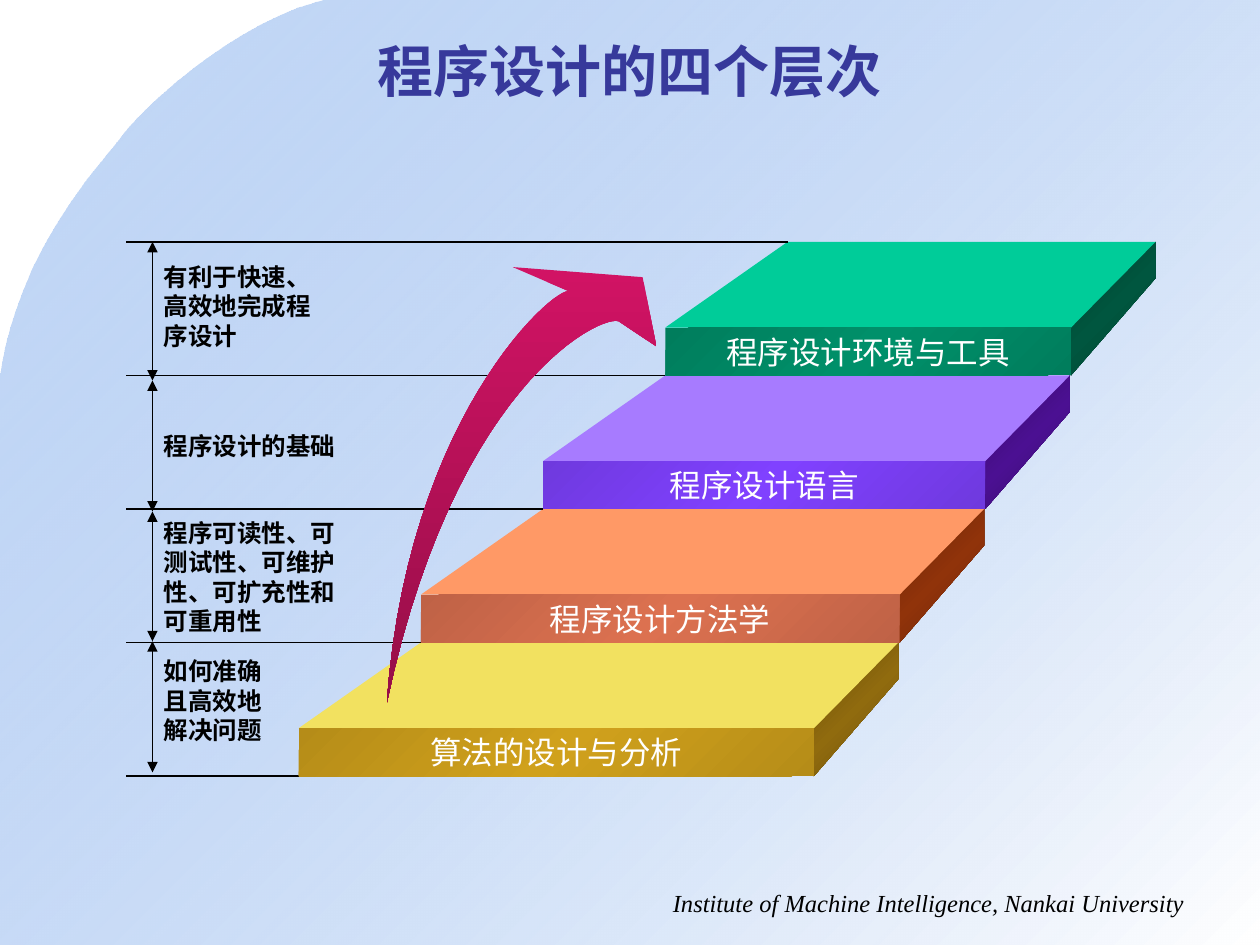
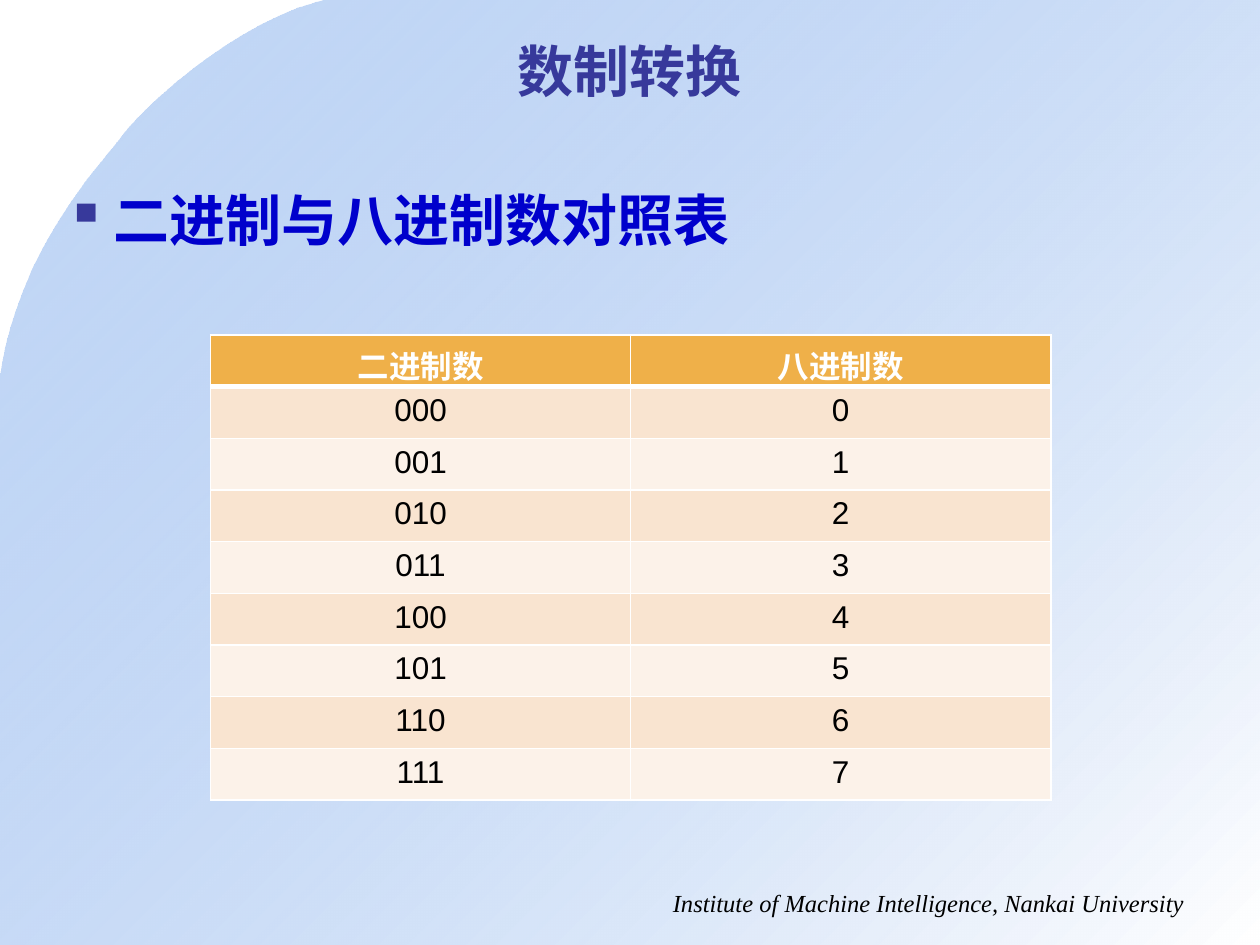
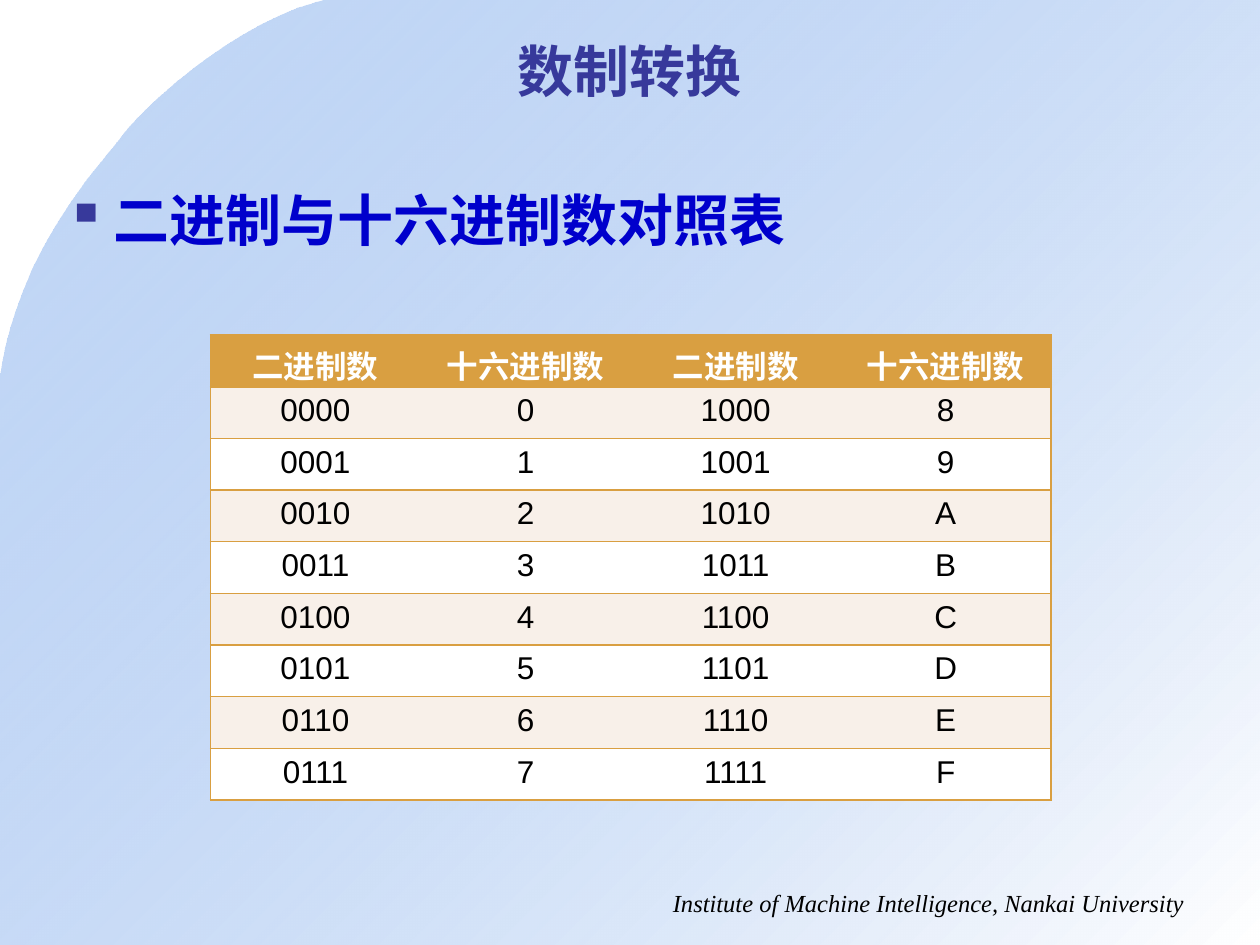
import itertools
from dataclasses import dataclass
from typing import Optional

import pptx
import pptx.dml.color
import pptx.enum.shapes
import pptx.enum.text
import pptx.oxml.ns
import pptx.util
from lxml import etree

Inches = pptx.util.Inches
Pt = pptx.util.Pt
RGBColor = pptx.dml.color.RGBColor
ALIGN = pptx.enum.text.PP_ALIGN
ANCHOR = pptx.enum.text.MSO_ANCHOR
qn = pptx.oxml.ns.qn

WHITE = RGBColor(0xFF, 0xFF, 0xFF)
BLACK = RGBColor(0, 0, 0)
SKY = RGBColor(0x69, 0x9D, 0xE9)
TITLE_BLUE = RGBColor(0x37, 0x39, 0x9B)
HEADING_BLUE = RGBColor(0, 0, 0xCC)
CRIMSON = RGBColor(0xD1, 0x13, 0x64)
DARK_CRIMSON = RGBColor(0x96, 0x0E, 0x48)
AMBER = RGBColor(0xEF, 0xB0, 0x49)
PEACH = RGBColor(0xF9, 0xE4, 0xD0)
PALE_PEACH = RGBColor(0xFC, 0xF2, 0xE9)
OCHRE = RGBColor(0xD9, 0x9F, 0x41)
CREAM = RGBColor(0xF8, 0xF0, 0xE9)

CHINESE_FONT = "Noto Sans CJK SC"
LATIN_FONT = "Arial"
NOTE_FONT = "DejaVu Sans"
FOOTER_FONT = "Times New Roman"
FOOTER = "Institute of Machine Intelligence, Nankai University"

Point = tuple[float, float]


@dataclass(frozen=True)
class Layer:
    label: str
    top: RGBColor
    front_edge: RGBColor
    front_middle: RGBColor
    side_edge: RGBColor
    side_middle: RGBColor


@dataclass(frozen=True)
class Note:
    text: str
    top: float
    width: float
    height: float
    wrap: bool = True


@dataclass(frozen=True)
class TableStyle:
    header: RGBColor
    odd_row: RGBColor
    even_row: RGBColor
    border: RGBColor
    header_rule: float
    inner_verticals: bool


LAYERS = (
    Layer("程序设计环境与工具", RGBColor(0x00, 0xCC, 0x99),
          RGBColor(0x00, 0x7D, 0x5C), RGBColor(0x00, 0x90, 0x6A),
          RGBColor(0x00, 0x3E, 0x2D), RGBColor(0x00, 0x56, 0x3F)),
    Layer("程序设计语言", RGBColor(0xA7, 0x7B, 0xFF),
          RGBColor(0x6F, 0x39, 0xDE), RGBColor(0x80, 0x41, 0xFF),
          RGBColor(0x36, 0x0B, 0x68), RGBColor(0x4B, 0x10, 0x92)),
    Layer("程序设计方法学", RGBColor(0xFF, 0x99, 0x66),
          RGBColor(0xBF, 0x62, 0x46), RGBColor(0xDC, 0x71, 0x50),
          RGBColor(0x67, 0x24, 0x07), RGBColor(0x90, 0x33, 0x0A)),
    Layer("算法的设计与分析", RGBColor(0xF2, 0xE1, 0x60),
          RGBColor(0xB5, 0x8C, 0x18), RGBColor(0xD0, 0xA1, 0x1C),
          RGBColor(0x67, 0x4D, 0x0A), RGBColor(0x90, 0x6B, 0x0E)),
)
NOTES = (
    Note("有利于快速、高效地完成程序设计", 2.03, 1.38, 0.81),
    Note("程序设计的基础", 3.37, 1.58, 0.34, wrap=False),
    Note("程序可读性、可测试性、可维护性、可扩充性和可重用性", 4.06, 1.61, 1.04),
    Note("如何准确且高效地解决问题", 5.16, 1.07, 0.81),
)
SPAN_ENDS = (1.92, 3.02, 4.06, 5.09, 6.13)

# Staircase measures: each layer is one step further left and down.
STAIR_TOP, STEP_DOWN = 1.92, 1.06
FRONT_LEFT, STEP_LEFT = 5.28, 0.97
FRONT_RIGHT, STEP_RIGHT = 8.5, 0.68
FACE_DEPTH, FACE_SHIFT, FRONT_HEIGHT, BACK_HEIGHT = 0.68, 0.67, 0.38, 0.29

GRID_STYLE = TableStyle(AMBER, PEACH, PALE_PEACH, WHITE, 3, True)
RULED_STYLE = TableStyle(OCHRE, CREAM, WHITE, OCHRE, 1, False)


def write_text(frame, text: str, *, size: float, color: RGBColor = BLACK,
               font: str = LATIN_FONT, bold: bool = False, italic: bool = False,
               align=ALIGN.LEFT, anchor=None, wrap: bool = True,
               bullet_color: Optional[RGBColor] = None) -> None:
    frame.word_wrap = wrap
    if anchor is not None:
        frame.vertical_anchor = anchor
    para = frame.paragraphs[0]
    para.alignment = align
    if bullet_color is not None:
        add_bullet(para, bullet_color)
    span = para.add_run()
    span.text = text
    span.font.name = font
    span.font.size = Pt(size)
    span.font.bold = bold
    span.font.italic = italic
    span.font.color.rgb = color
    etree.SubElement(span.font._element, qn("a:ea"), typeface=CHINESE_FONT)


def add_bullet(para, color: RGBColor) -> None:
    properties = para._p.get_or_add_pPr()
    properties.set("marL", str(Inches(0.38)))
    properties.set("indent", str(-Inches(0.38)))
    paint = etree.SubElement(properties, qn("a:buClr"))
    etree.SubElement(paint, qn("a:srgbClr"), val=str(color))
    etree.SubElement(properties, qn("a:buChar"), char="▪")


def add_text(page, text: str, left: float, top: float, width: float,
             height: float, **style) -> None:
    box = page.shapes.add_textbox(Inches(left), Inches(top), Inches(width), Inches(height))
    write_text(box.text_frame, text, **style)


def fill_gradient(shape, colors: tuple[RGBColor, ...], angle: int,
                  first_opacity: int = 100) -> None:
    """Spread the colours evenly; the angle is clockwise in degrees."""
    shape.fill.gradient()
    shape.fill.gradient_angle = 360 - angle
    stops = shape._element.spPr.find(qn("a:gradFill")).find(qn("a:gsLst"))
    for stop in list(stops):
        stops.remove(stop)
    for index, color in enumerate(colors):
        position = 100000 * index // (len(colors) - 1)
        stop = etree.SubElement(stops, qn("a:gs"), pos=str(position))
        paint = etree.SubElement(stop, qn("a:srgbClr"), val=str(color))
        if index == 0 and first_opacity < 100:
            etree.SubElement(paint, qn("a:alpha"), val=str(first_opacity * 1000))


def add_outline(page, points: list[Point]):
    corners = [(Inches(x), Inches(y)) for x, y in points]
    builder = page.shapes.build_freeform(*corners[0])
    builder.add_line_segments(corners[1:], close=True)
    shape = builder.convert_to_shape()
    shape.shadow.inherit = False
    shape.line.fill.background()
    return shape


def bezier(start: Point, first: Point, second: Point, end: Point,
           steps: int = 28) -> list[Point]:
    def at(t: float, axis: int) -> float:
        u = 1 - t
        return (u ** 3 * start[axis] + 3 * u * u * t * first[axis]
                + 3 * u * t * t * second[axis] + t ** 3 * end[axis])
    return [(at(i / steps, 0), at(i / steps, 1)) for i in range(steps + 1)]


def add_line(page, start: Point, end: Point, arrows: bool = False) -> None:
    line = page.shapes.add_connector(
        pptx.enum.shapes.MSO_CONNECTOR.STRAIGHT,
        Inches(start[0]), Inches(start[1]), Inches(end[0]), Inches(end[1]))
    line.line.color.rgb = BLACK
    line.line.width = Pt(0.75)
    properties = line._element.spPr
    if arrows:
        for tip in ("a:headEnd", "a:tailEnd"):
            etree.SubElement(properties.find(qn("a:ln")), qn(tip), type="triangle")
    etree.SubElement(properties, qn("a:effectLst"))


def add_page(deck, title: str):
    """Add a slide with the shared backdrop, footer and title."""
    page = deck.slides.add_slide(deck.slide_layouts[6])
    curve = bezier((2.58, 0), (1.9, 0.16), (1.16, 0.83), (0.98, 1.07))
    curve += bezier((0.98, 1.07), (0.8, 1.32), (0.16, 1.94), (0, 3.01))[1:]
    backdrop = add_outline(page, curve + [(0, 7.5), (10, 7.5), (10, 0)])
    fill_gradient(backdrop, (SKY, WHITE), 45, first_opacity=39)
    add_text(page, FOOTER, 4.83, 7, 4.67, 0.34, size=14, font=FOOTER_FONT,
             italic=True, align=ALIGN.RIGHT)
    add_text(page, title, 0.5, 0.25, 9, 0.62, size=32, color=TITLE_BLUE,
             bold=True, align=ALIGN.CENTER, anchor=ANCHOR.MIDDLE)
    return page


def add_layer_faces(page, layer: Layer, level: int) -> None:
    top = STAIR_TOP + STEP_DOWN * level
    left = FRONT_LEFT - STEP_LEFT * level
    right = FRONT_RIGHT - STEP_RIGHT * level
    front_top = top + FACE_DEPTH
    back_right = right + FACE_SHIFT
    side = add_outline(page, [(back_right, top + BACK_HEIGHT),
                              (right, front_top + FRONT_HEIGHT),
                              (right, front_top), (back_right, top)])
    fill_gradient(side, (layer.side_edge, layer.side_middle, layer.side_edge), 45)
    face = add_outline(page, [(right, front_top), (left, front_top),
                              (left + STEP_LEFT, top), (back_right, top)])
    face.fill.solid()
    face.fill.fore_color.rgb = layer.top


def add_layer_front(page, layer: Layer, level: int) -> None:
    left = FRONT_LEFT - STEP_LEFT * level
    right = FRONT_RIGHT - STEP_RIGHT * level
    front = page.shapes.add_shape(
        pptx.enum.shapes.MSO_SHAPE.RECTANGLE, Inches(left),
        Inches(STAIR_TOP + STEP_DOWN * level + FACE_DEPTH),
        Inches(right - left), Inches(FRONT_HEIGHT))
    front.shadow.inherit = False
    front.line.fill.background()
    fill_gradient(front, (layer.front_edge, layer.front_middle, layer.front_edge), 45)
    write_text(front.text_frame, layer.label, size=18, color=WHITE, font=CHINESE_FONT,
               align=ALIGN.CENTER, anchor=ANCHOR.MIDDLE, wrap=False)


def add_rising_arrow(page) -> None:
    tail = (3.07, 5.58)
    outer = bezier(tail, (3.23, 3.34), (4.36, 2.31), (4.51, 2.31))
    inner = bezier((4.91, 2.55), (4.75, 2.5), (3.6, 3.08), tail)
    head = [(4.07, 2.12), (5.1, 2.2), (5.21, 2.75)]
    arrow = add_outline(page, outer + head + inner[:-1])
    fill_gradient(arrow, (CRIMSON, DARK_CRIMSON), 90)


def build_levels_page(deck) -> None:
    page = add_page(deck, "程序设计的四个层次")
    for level, layer in enumerate(LAYERS):
        add_layer_faces(page, layer, level)
    for level in range(len(LAYERS) + 1):
        y = STAIR_TOP + STEP_DOWN * level
        add_line(page, (FRONT_LEFT - STEP_LEFT * (level - 1), y), (1, y))
    for top, bottom in itertools.pairwise(SPAN_ENDS):
        add_line(page, (1.21, top), (1.21, bottom), arrows=True)
    add_rising_arrow(page)
    for level, layer in enumerate(LAYERS):
        add_layer_front(page, layer, level)
    for note in NOTES:
        add_text(page, note.text, 1.2, note.top, note.width, note.height,
                 size=14, font=NOTE_FONT, bold=True, wrap=note.wrap)


def set_border(cell, side: str, color: RGBColor, width: float) -> None:
    """Draw one cell edge; a width of zero hides it."""
    edge = etree.SubElement(cell._tc.get_or_add_tcPr(), qn(f"a:ln{side}"),
                            w=str(Pt(width)))
    if width:
        paint = etree.SubElement(edge, qn("a:solidFill"))
        etree.SubElement(paint, qn("a:srgbClr"), val=str(color))
    else:
        etree.SubElement(edge, qn("a:noFill"))


def add_number_table(page, rows: list[tuple[str, ...]], style: TableStyle) -> None:
    columns = len(rows[0])
    table = page.shapes.add_table(len(rows), columns, Inches(1.67), Inches(2.66),
                                  Inches(6.67), Inches(0.41 * len(rows))).table
    table.horz_banding = False
    inner = 1 if style.inner_verticals else 0
    for r, row in enumerate(rows):
        is_header = r == 0
        band = style.odd_row if r % 2 else style.even_row
        for c, text in enumerate(row):
            cell = table.cell(r, c)
            widths = {
                "L": 1 if c == 0 else inner,
                "R": 1 if c == columns - 1 else inner,
                "T": style.header_rule if r == 1 else 1,
                "B": style.header_rule if is_header else 1,
            }
            for side, width in widths.items():
                set_border(cell, side, style.border, width)
            cell.fill.solid()
            cell.fill.fore_color.rgb = style.header if is_header else band
            write_text(cell.text_frame, text, size=18, bold=is_header,
                       color=WHITE if is_header else BLACK, align=ALIGN.CENTER)


def build_table_page(deck, heading: str, rows: list[tuple[str, ...]],
                     style: TableStyle) -> None:
    page = add_page(deck, "数制转换")
    add_text(page, heading, 0.42, 1.42, 9.08, 5.42, size=32, color=HEADING_BLUE,
             font=CHINESE_FONT, bold=True, bullet_color=TITLE_BLUE)
    add_number_table(page, rows, style)


def main() -> None:
    deck = pptx.Presentation()
    deck.slide_width = Inches(10)
    deck.slide_height = Inches(7.5)
    build_levels_page(deck)
    octal = [("二进制数", "八进制数")]
    octal += [(f"{n:03b}", f"{n:o}") for n in range(8)]
    build_table_page(deck, "二进制与八进制数对照表", octal, GRID_STYLE)
    hexadecimal = [("二进制数", "十六进制数") * 2]
    hexadecimal += [(f"{n:04b}", f"{n:X}", f"{n + 8:04b}", f"{n + 8:X}") for n in range(8)]
    build_table_page(deck, "二进制与十六进制数对照表", hexadecimal, RULED_STYLE)
    deck.save("out.pptx")


if __name__ == "__main__":
    main()
